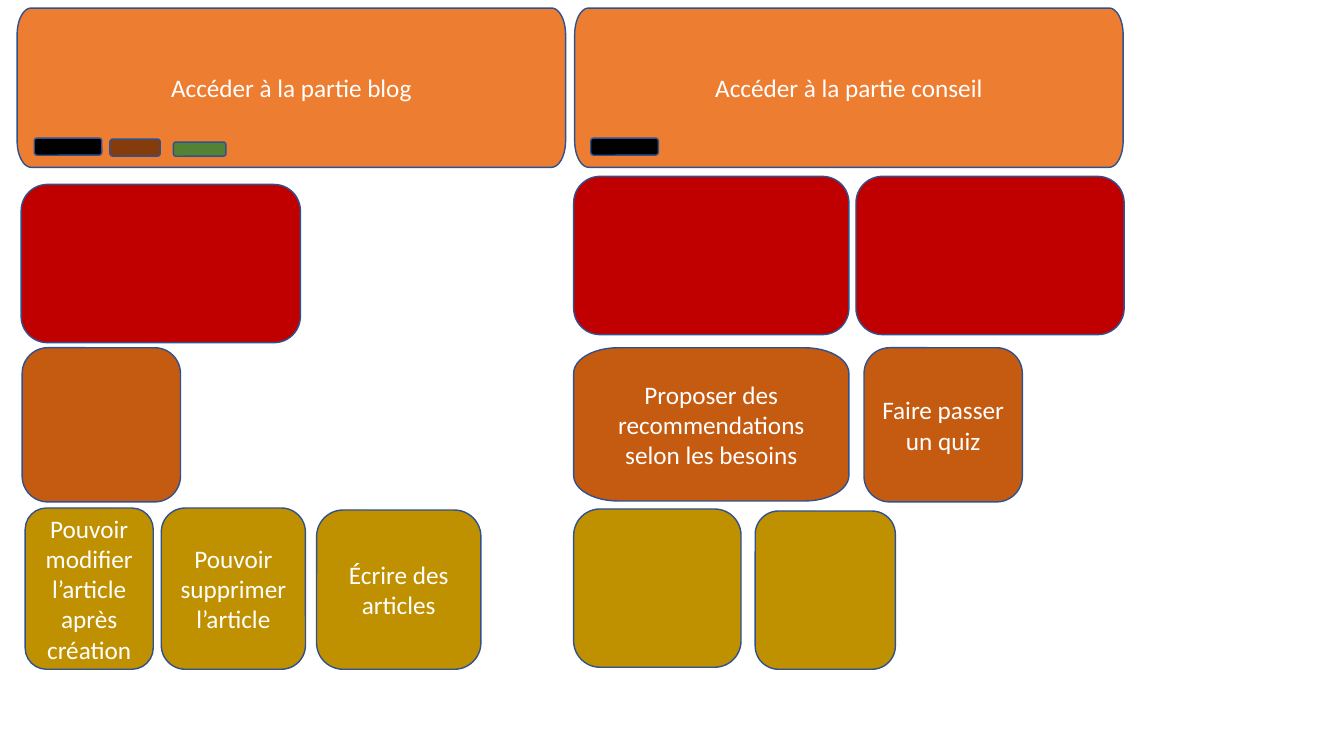
from math import cos, pi, sin

from pptx import Presentation, util as u
from pptx.dml.color import RGBColor
from pptx.enum import shapes, text

ROW_TOPS = [0.08, 1.75, 3.45, 5.05]
LEFT_COLUMN, RIGHT_COLUMN = 0.17, 5.69
CORNER_STEPS = 12

prs = Presentation()
prs.slide_width, prs.slide_height = u.Inches(13.33), u.Inches(7.5)
slide = prs.slides.add_slide(prs.slide_layouts[6])


def stretched_card(left, top, width, height, radius_x):
    """Outline a card whose corners are quarter ellipses, a sixth of its height tall."""
    radius_y = height / 6
    points = []
    for corner in range(4):
        center_x = left + (radius_x if corner in (1, 2) else width - radius_x)
        center_y = top + (height - radius_y if corner < 2 else radius_y)
        for step in range(CORNER_STEPS + 1):
            angle = (corner + step / CORNER_STEPS) * pi / 2
            points.append((u.Inches(center_x + radius_x * cos(angle)),
                           u.Inches(center_y + radius_y * sin(angle))))
    outline = slide.shapes.build_freeform(*points[0])
    outline.add_line_segments(points[1:], close=True)
    return outline.convert_to_shape()


def add_card(left, top, width, height, fill, label="", radius_x=None, margin=0.08):
    if radius_x:
        card = stretched_card(left, top, width, height, radius_x)
    else:
        card = slide.shapes.add_shape(shapes.MSO_SHAPE.ROUNDED_RECTANGLE,
                                      *map(u.Inches, (left, top, width, height)))
    card.shadow.inherit = False
    card.fill.solid()
    card.fill.fore_color.rgb = RGBColor.from_string(fill)
    card.line.color.rgb = RGBColor.from_string("2F528F")
    card.line.width = u.Pt(1)
    if label:
        frame = card.text_frame
        frame.word_wrap = True
        frame.vertical_anchor = text.MSO_ANCHOR.MIDDLE
        frame.margin_left = frame.margin_right = u.Inches(margin)
        paragraph = frame.paragraphs[0]
        paragraph.alignment = text.PP_ALIGN.CENTER
        run = paragraph.add_run()
        run.text = label
        run.font.name, run.font.size = "Calibri", u.Pt(18)
        run.font.color.rgb = RGBColor.from_string("FFFFFF")


# Main goals
for left, goal in [(LEFT_COLUMN, "Accéder à la partie blog"),
                   (RIGHT_COLUMN + 0.01, "Accéder à la partie conseil")]:
    add_card(left, ROW_TOPS[0], 5.44, 1.58, "ED7D31", goal, radius_x=0.14)

# Epics without a label: left, drop below the row top, width
for left, drop, width in [(0.21, 0.08, 2.77), (RIGHT_COLUMN, 0, 2.73), (8.49, 0, 2.66)]:
    add_card(left, ROW_TOPS[1] + drop, width, 1.57, "C00000")

# Features
add_card(0.22, ROW_TOPS[2], 1.57, 1.53, "C55A11")
add_card(RIGHT_COLUMN, ROW_TOPS[2], 2.73, 1.52, "C55A11",
         "Proposer des recommendations selon les besoins", radius_x=0.44, margin=0.18)
add_card(8.57, ROW_TOPS[2], 1.57, 1.53, "C55A11", "Faire passer un quiz")

# Stories: left, drop below the row top, width, height, label
for left, drop, width, height, story in [
    (0.25, -0.01, 1.27, 1.6, "Pouvoir modifier l’article après création"),
    (1.6, -0.01, 1.43, 1.6, "Pouvoir supprimer l’article"),
    (3.14, 0.01, 1.63, 1.58, "Écrire des articles"),
    (RIGHT_COLUMN, 0, 1.66, 1.57, ""),
    (7.49, 0.02, 1.39, 1.57, ""),
]:
    add_card(left, ROW_TOPS[3] + drop, width, height, "BF9000", story)

# Role tags on the main goals
for left, top, width, height, role in [
    (0.34, 1.37, 0.67, 0.17, "000000"),
    (1.09, 1.38, 0.5, 0.17, "843C0C"),
    (1.72, 1.41, 0.52, 0.14, "548235"),
    (5.86, 1.37, 0.67, 0.17, "000000"),
]:
    add_card(left, top, width, height, role)

prs.save("out.pptx")
